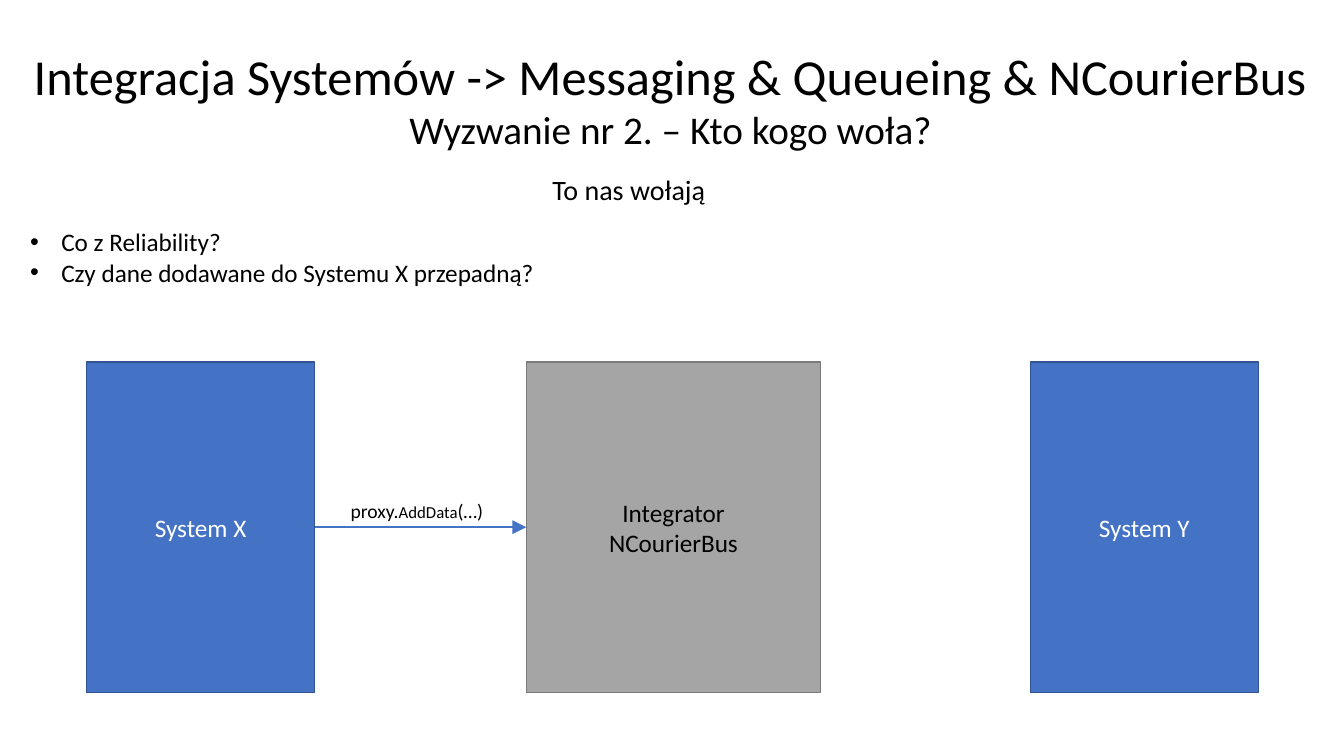
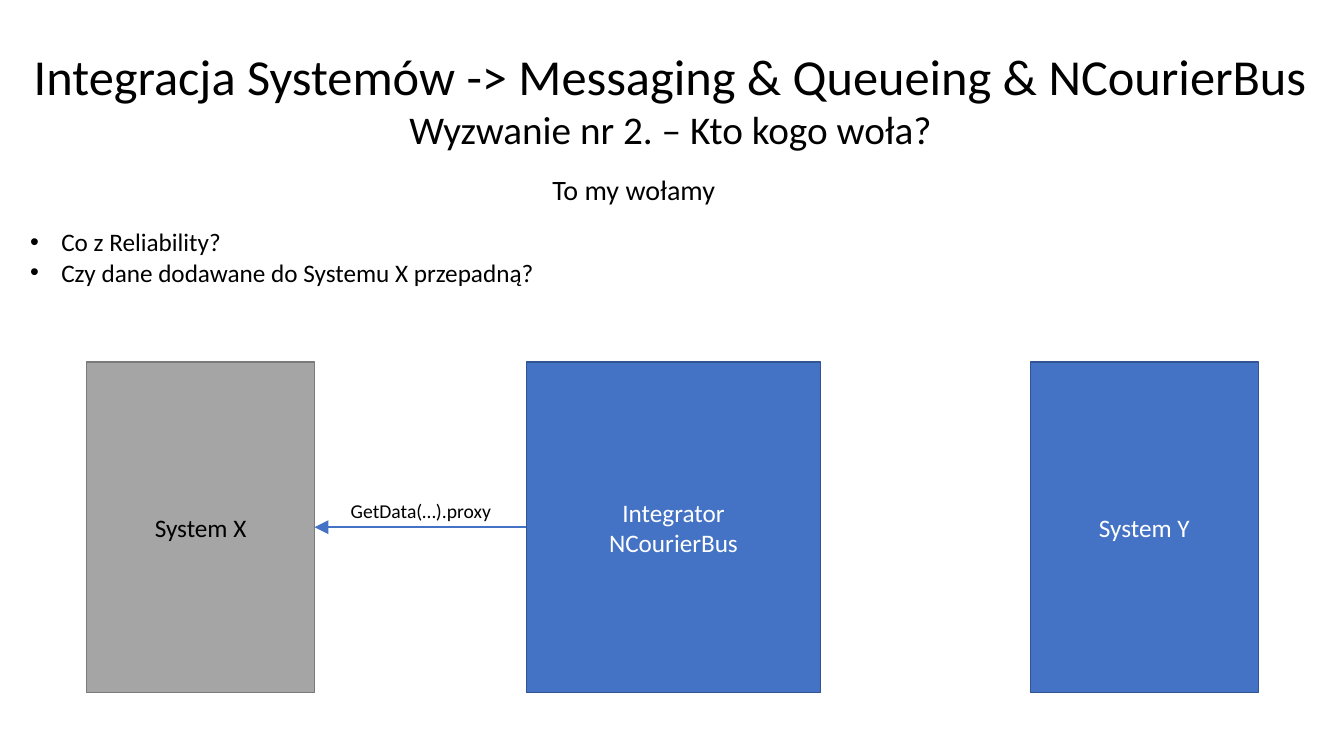
from dataclasses import dataclass

from lxml import etree
from pptx import Presentation
from pptx import util as u
from pptx.dml.color import RGBColor
from pptx.enum import shapes, text
from pptx.oxml.ns import qn

# Shared style
EMU_PER_PX = 9144  # 100 px to the inch
FONT = "Calibri"
BLACK = RGBColor(0x00, 0x00, 0x00)
WHITE = RGBColor(0xFF, 0xFF, 0xFF)
BLUE = RGBColor(0x44, 0x72, 0xC4)
DARK_BLUE = RGBColor(0x32, 0x54, 0x91)
GRAY = RGBColor(0xA5, 0xA5, 0xA5)
DARK_GRAY = RGBColor(0x7A, 0x7A, 0x7A)

SYSTEM_TOP, SYSTEM_HEIGHT = 359, 328
BULLET_INDENT = 31
RIGHT_SIDE, LEFT_SIDE = 3, 1


@dataclass(frozen=True)
class Run:
    words: str
    size: int


@dataclass(frozen=True)
class Area:
    left: int
    top: int
    width: int
    height: int


@dataclass(frozen=True)
class System:
    lines: tuple[str, ...]
    left: int
    width: int


@dataclass(frozen=True)
class Challenge:
    caption: str
    caption_width: int
    call: tuple[Run, ...]
    call_width: int
    gray_system: int  # index of the system being called
    caller: int


Paragraphs = list[tuple[Run, ...]]

# Content
BUS = "NCourierBus"
HEADING: Paragraphs = [
    (Run(f"Integracja Systemów -> Messaging & Queueing & {BUS}", 36),),
    (Run("Wyzwanie nr 2. – Kto kogo woła?", 28),),
]
QUESTIONS: Paragraphs = [
    (Run("Co z Reliability?", 18),),
    (Run("Czy dane dodawane do Systemu X przepadną?", 18),),
]
SYSTEMS = (
    System(("System X",), 86, 226),
    System(("Integrator", BUS), 522, 292),
    System(("System Y",), 1022, 226),
)
CHALLENGES = (
    Challenge("To nas wołają", 173,
              (Run("proxy.", 14), Run("AddData", 12), Run("(…)", 14)), 153,
              gray_system=1, caller=0),
    Challenge("To my wołamy", 183,
              (Run("GetData(…).proxy", 14),), 161,
              gray_system=0, caller=1),
)


def px(length: int) -> u.Emu:
    return u.Emu(length * EMU_PER_PX)


def write(frame, paragraphs: Paragraphs, color: RGBColor, align) -> None:
    for index, runs in enumerate(paragraphs):
        paragraph = frame.paragraphs[0] if index == 0 else frame.add_paragraph()
        paragraph.alignment = align
        for part in runs:
            run = paragraph.add_run()
            run.text = part.words
            run.font.name = FONT
            run.font.size = u.Pt(part.size)
            run.font.color.rgb = color


def add_text(slide, area: Area, paragraphs: Paragraphs,
             align=text.PP_ALIGN.LEFT, wrap: bool = False):
    box = slide.shapes.add_textbox(
        px(area.left), px(area.top), px(area.width), px(area.height))
    frame = box.text_frame
    frame.word_wrap = wrap
    frame.auto_size = text.MSO_AUTO_SIZE.SHAPE_TO_FIT_TEXT
    write(frame, paragraphs, BLACK, align)
    return frame


def add_bullets(frame) -> None:
    for paragraph in frame.paragraphs:
        props = paragraph._p.get_or_add_pPr()
        props.set("marL", str(px(BULLET_INDENT)))
        props.set("indent", str(-px(BULLET_INDENT)))
        etree.SubElement(props, qn("a:buFont"), typeface="Arial")
        etree.SubElement(props, qn("a:buChar"), char="•")


def add_system(slide, system: System, gray: bool):
    box = slide.shapes.add_shape(
        shapes.MSO_SHAPE.RECTANGLE, px(system.left), px(SYSTEM_TOP),
        px(system.width), px(SYSTEM_HEIGHT))
    box.shadow.inherit = False
    box.fill.solid()
    box.fill.fore_color.rgb = GRAY if gray else BLUE
    box.line.color.rgb = DARK_GRAY if gray else DARK_BLUE
    box.line.width = u.Pt(1)
    box.text_frame.vertical_anchor = text.MSO_ANCHOR.MIDDLE
    write(box.text_frame, [(Run(line, 18),) for line in system.lines],
          BLACK if gray else WHITE, text.PP_ALIGN.CENTER)
    return box


def add_call_arrow(slide, caller, called) -> None:
    arrow = slide.shapes.add_connector(shapes.MSO_CONNECTOR.STRAIGHT, 0, 0, 0, 0)
    rightward = caller.left < called.left
    arrow.begin_connect(caller, RIGHT_SIDE if rightward else LEFT_SIDE)
    arrow.end_connect(called, LEFT_SIDE if rightward else RIGHT_SIDE)
    arrow.line.color.rgb = BLUE
    arrow.line.width = u.Pt(1)
    etree.SubElement(arrow.line._get_or_add_ln(), qn("a:tailEnd"),
                     type="triangle", w="lg", len="lg")
    etree.SubElement(arrow._element.spPr, qn("a:effectLst"))


def add_challenge(deck, challenge: Challenge) -> None:
    slide = deck.slides.add_slide(deck.slide_layouts[6])

    # Heading, caption and questions
    add_text(slide, Area(20, 40, 1290, 118), HEADING, text.PP_ALIGN.CENTER)
    add_text(slide, Area(538, 166, challenge.caption_width, 44),
             [(Run(challenge.caption, 20),)])
    add_bullets(add_text(slide, Area(20, 220, 1290, 71), QUESTIONS, wrap=True))

    # Systems and the call between them
    boxes = [add_system(slide, system, index == challenge.gray_system)
             for index, system in enumerate(SYSTEMS)]
    add_call_arrow(slide, boxes[challenge.caller], boxes[challenge.gray_system])
    add_text(slide, Area(338, 490, challenge.call_width, 34), [challenge.call])


def main() -> None:
    deck = Presentation()
    deck.slide_width, deck.slide_height = px(1333), px(750)
    for challenge in CHALLENGES:
        add_challenge(deck, challenge)
    deck.save("out.pptx")


if __name__ == "__main__":
    main()
